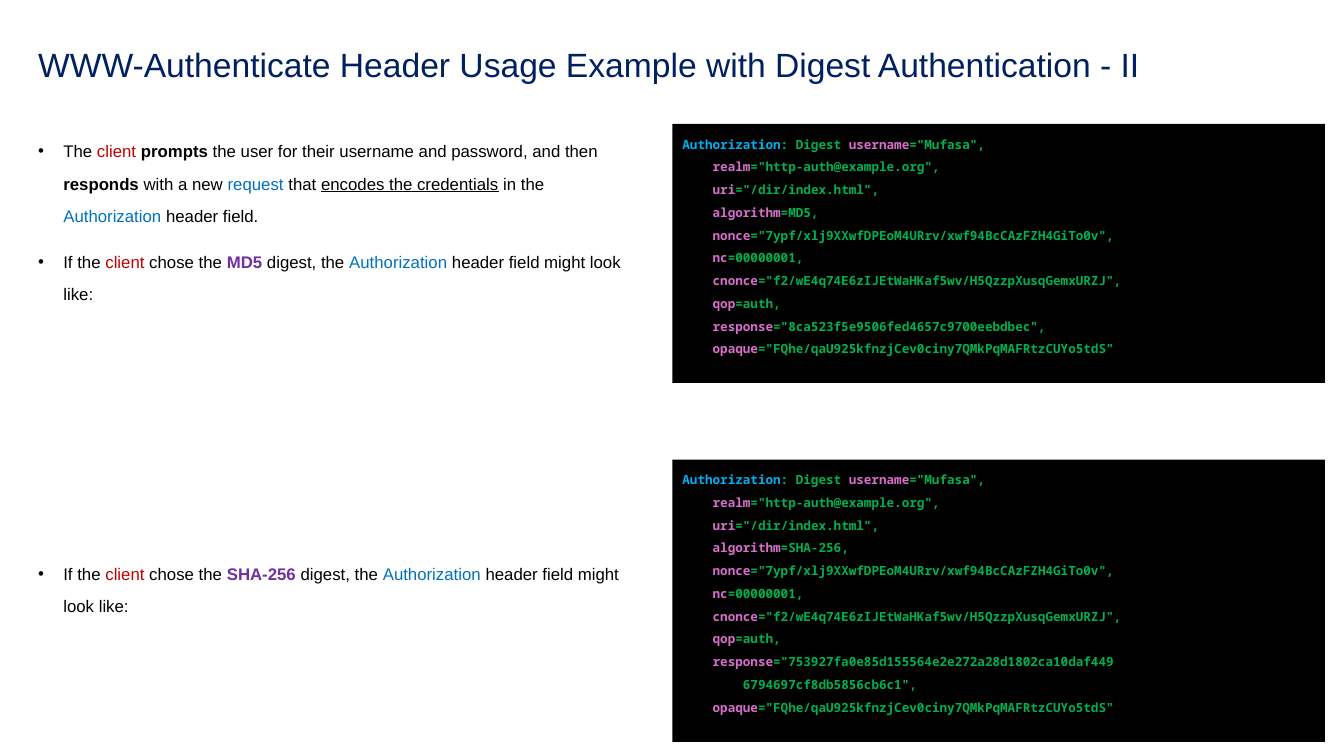
from pptx import Presentation
from pptx.dml.color import RGBColor
from pptx.enum.shapes import MSO_SHAPE
from pptx.enum.text import MSO_ANCHOR, MSO_AUTO_SIZE, PP_ALIGN
from pptx.util import Inches, Pt
from lxml import etree

RECT = MSO_SHAPE.RECTANGLE
TOP, MIDDLE = MSO_ANCHOR.TOP, MSO_ANCHOR.MIDDLE
GROW = MSO_AUTO_SIZE.SHAPE_TO_FIT_TEXT
LEFT = PP_ALIGN.LEFT

NAVY = RGBColor(0x00, 0x20, 0x60)
BLACK = RGBColor(0x00, 0x00, 0x00)
RED = RGBColor(0xC0, 0x00, 0x00)
BLUE = RGBColor(0x00, 0x70, 0xC0)
PURPLE = RGBColor(0x70, 0x30, 0xA0)
CYAN = RGBColor(0x00, 0xB0, 0xF0)
GREEN = RGBColor(0x00, 0xB0, 0x50)
PINK = RGBColor(0xD8, 0x6E, 0xCC)
SANS, MONO = "Arial", "Noto Sans Mono"

# Content: runs are (text, style name)
TITLE = "WWW-Authenticate Header Usage Example with Digest Authentication - II"

PROMPT = [
    ("The ", "plain"), ("client ", "client"), ("prompts", "strong"),
    (" the user for their username and password, and then ", "plain"),
    ("responds", "strong"), (" with a new ", "plain"), ("request", "term"),
    (" that ", "plain"), ("encodes the credentials", "underlined"),
    (" in the ", "plain"), ("Authorization", "term"),
    (" header field.", "plain"),
]


def digest_choice(name):
    return [
        ("If the ", "plain"), ("client", "client"), (" chose the ", "plain"),
        (name, "digest"), (" digest, the ", "plain"),
        ("Authorization", "term"),
        (" header field might look like:", "plain"),
    ]


# Algorithm and the lines of its response: (indent level, key, value)
MD5 = ("MD5", [(1, "response", '="8ca523f5e9506fed4657c9700eebdbec",')])
SHA = ("SHA-256", [
    (1, "response", '="753927fa0e85d155564e2e272a28d1802ca10daf449'),
    (2, "", '6794697cf8db5856cb6c1",'),
])


def header_lines(algorithm, response):
    return [
        (1, "realm", '="http-auth@example.org",'),
        (1, "uri", '="/dir/index.html",'),
        (1, "algorithm", f"={algorithm},"),
        (1, "nonce", '="7ypf/xlj9XXwfDPEoM4URrv/xwf94BcCAzFZH4GiTo0v",'),
        (1, "nc", "=00000001,"),
        (1, "cnonce", '="f2/wE4q74E6zIJEtWaHKaf5wv/H5QzzpXusqGemxURZJ",'),
        (1, "qop", "=auth,"),
        *response,
        (1, "opaque", '="FQhe/qaU925kfnzjCev0ciny7QMkPqMAFRtzCUYo5tdS"'),
    ]


# Text styles: font attributes and colour
BODY = {"name": SANS, "size": Pt(12)}
CODE = {"name": MONO, "size": Pt(9), "bold": True}
STYLES = {
    "title": ({"name": SANS, "size": Pt(24)}, NAVY),
    "plain": (BODY, BLACK),
    "client": (BODY, RED),
    "term": (BODY, BLUE),
    "strong": ({**BODY, "bold": True}, BLACK),
    "underlined": ({**BODY, "underline": True}, BLACK),
    "digest": ({**BODY, "bold": True}, PURPLE),
    "header": (CODE, CYAN),
    "key": (CODE, PINK),
    "value": (CODE, GREEN),
}

# Layout in inches
MARGIN, TEXT_W = 0.28, 5.98
PANEL_X, PANEL_W = 6.67, 6.47
BULLET_INDENT = 0.25
CODE_INDENT = 0.3  # four characters of code

BULLET_BOXES = [  # top, height, paragraphs
    (1.23, 1.95, [PROMPT, digest_choice("MD5")]),
    (5.42, 0.85, [digest_choice("SHA-256")]),
]
PANELS = [  # top, height, digest
    (1.23, 2.57, MD5),
    (4.56, 2.8, SHA),
]

prs = Presentation()
prs.slide_width, prs.slide_height = Inches(13.33), Inches(7.5)
slide = prs.slides.add_slide(prs.slide_layouts[6])


def add_paragraph(tf, index, runs, **fmt):
    p = tf.add_paragraph() if index else tf.paragraphs[0]
    for attr, value in fmt.items():
        setattr(p, attr, value)
    for text, style in runs:
        r = p.add_run()
        r.text = text
        font, color = STYLES[style]
        for attr, value in font.items():
            setattr(r.font, attr, value)
        r.font.color.rgb = color
    return p


def add_text_box(x, y, w, h, anchor):
    sp = slide.shapes.add_textbox(Inches(x), Inches(y), Inches(w), Inches(h))
    tf = sp.text_frame
    tf.word_wrap = True
    tf.vertical_anchor = anchor
    return tf


def indent(p, left, first=0):
    pPr = p._p.get_or_add_pPr()
    pPr.set("marL", str(Inches(left)))
    pPr.set("indent", str(Inches(first)))
    return pPr


def add_bullet(p):
    pPr = indent(p, BULLET_INDENT, -BULLET_INDENT)
    ns = pPr.nsmap["a"]
    etree.SubElement(pPr, f"{{{ns}}}buFont", typeface=SANS)
    etree.SubElement(pPr, f"{{{ns}}}buChar", char="•")


# Title
tf = add_text_box(MARGIN, 0.4, 12.86, 0.53, MIDDLE)
add_paragraph(tf, 0, [(TITLE, "title")], line_spacing=0.9)

# Bullets on the left
for top, height, paragraphs in BULLET_BOXES:
    tf = add_text_box(MARGIN, top, TEXT_W, height, TOP)
    for i, runs in enumerate(paragraphs):
        p = add_paragraph(tf, i, runs, line_spacing=1.6, space_before=Pt(10))
        add_bullet(p)

# Code panels on the right
for top, height, digest in PANELS:
    sp = slide.shapes.add_shape(RECT, Inches(PANEL_X), Inches(top),
                                Inches(PANEL_W), Inches(height))
    sp.shadow.inherit = False
    sp.fill.solid()
    sp.fill.fore_color.rgb = BLACK
    sp.line.fill.background()
    tf = sp.text_frame
    tf.word_wrap = True
    tf.auto_size = GROW
    tf.vertical_anchor = TOP
    add_paragraph(tf, 0, [("Authorization", "header"), (": Digest ", "value"),
                          ("username", "key"), ('="Mufasa",', "value")],
                  alignment=LEFT, line_spacing=1.5)
    for i, (level, key, value) in enumerate(header_lines(*digest), 1):
        runs = [(text, style) for text, style in
                ((key, "key"), (value, "value")) if text]
        p = add_paragraph(tf, i, runs, alignment=LEFT, line_spacing=1.5)
        indent(p, level * CODE_INDENT)

prs.save("out.pptx")
